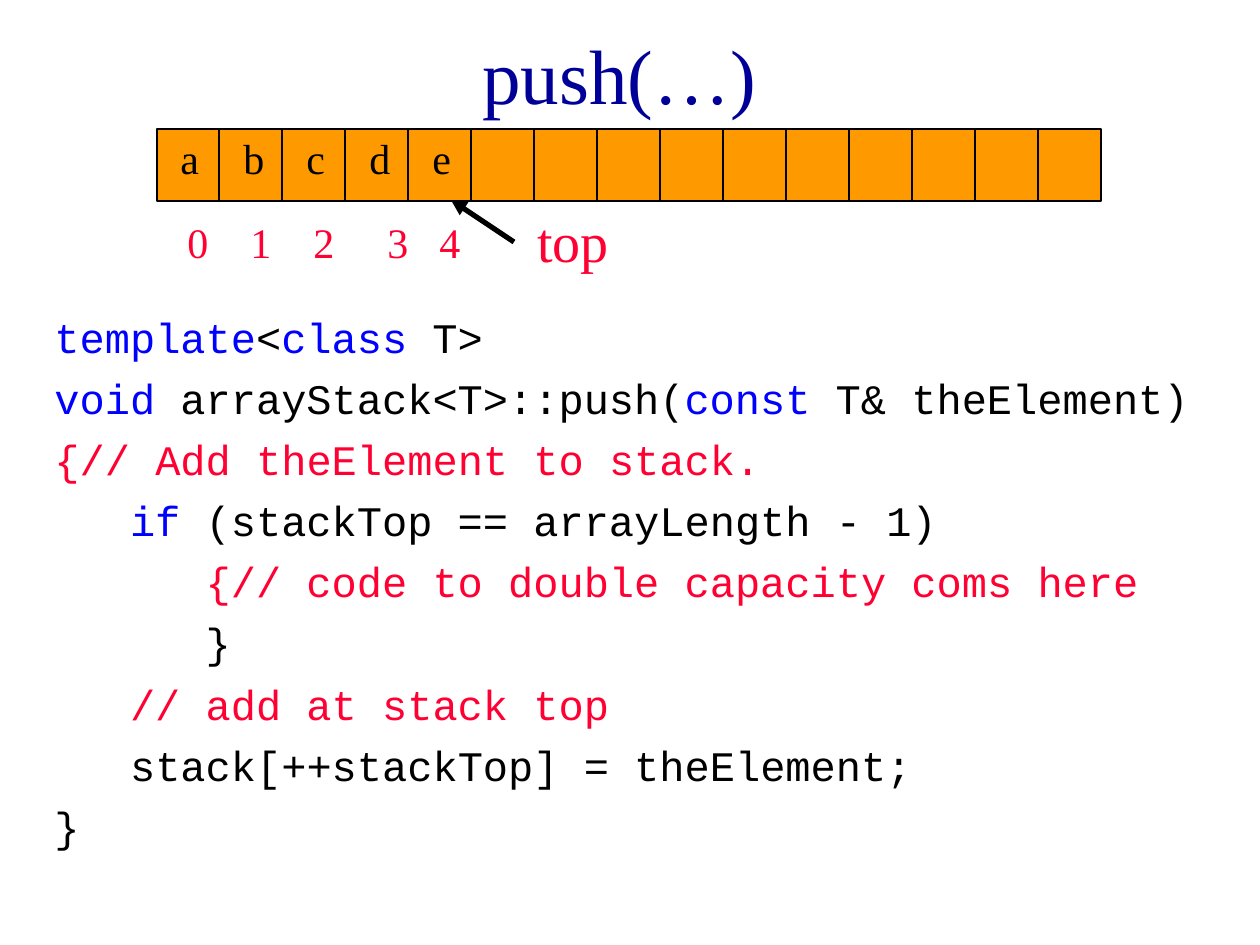
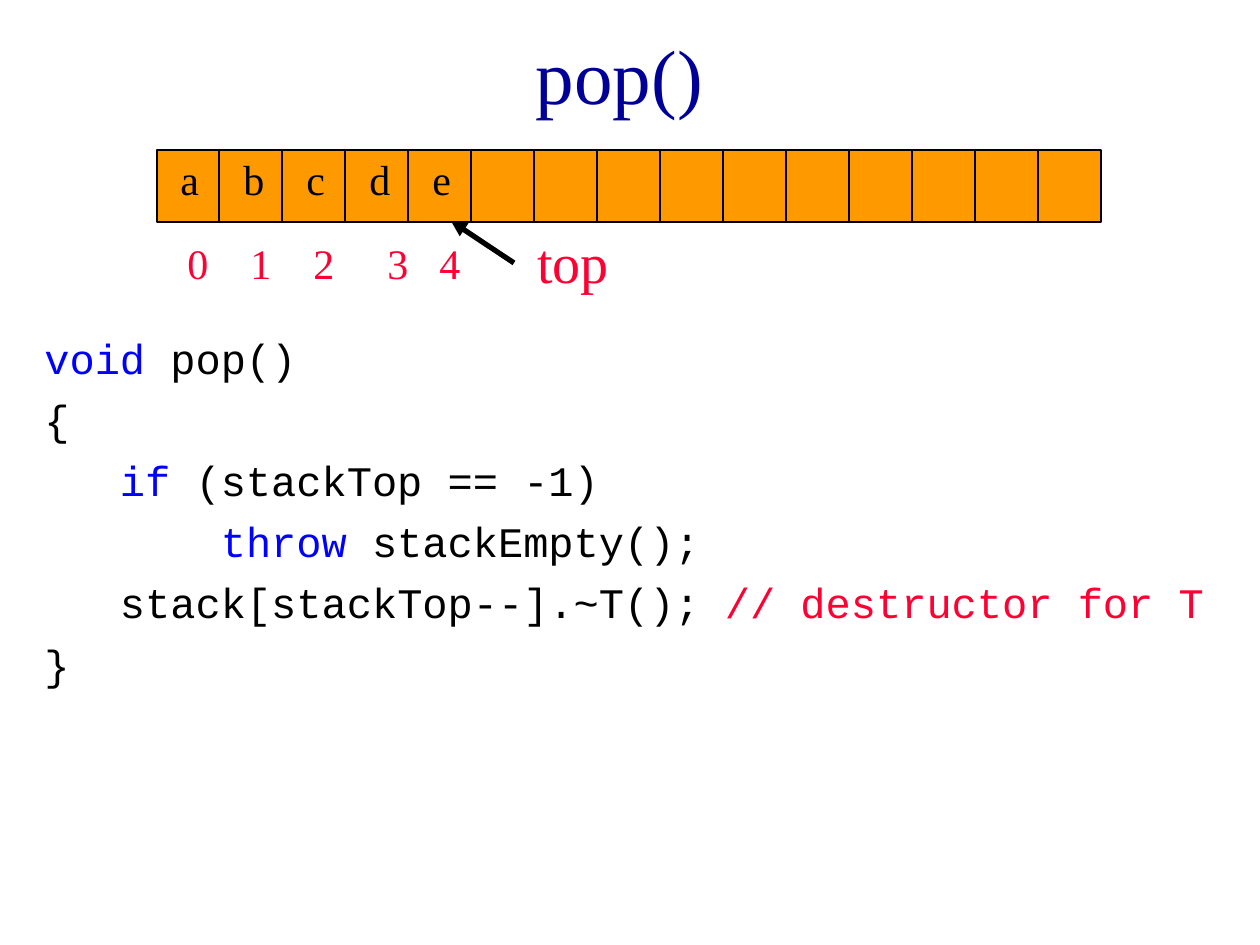
"""Build the two array stack slides, push and pop."""
from dataclasses import dataclass

import pptx
import pptx.dml.color
import pptx.enum.shapes
import pptx.enum.text
import pptx.oxml.xmlchemy
import pptx.util
from pptx.oxml.ns import qn

EMU_PER_PX = 914400 / 126


@dataclass(frozen=True)
class Theme:
    """Colours, fonts and type sizes of the deck."""
    title: str = "000099"
    ink: str = "000000"
    keyword: str = "0000FF"
    accent: str = "FF0033"
    cell: str = "FF9900"
    serif: str = "Times New Roman"
    mono: str = "Courier New"
    title_pt: int = 44
    label_pt: int = 32
    text_pt: int = 24
    code_line_pt: float = 28.9
    code_gap_pt: int = 6


THEME = Theme()
INK, KEY, NOTE = THEME.ink, THEME.keyword, THEME.accent

PUSH_CODE = [
    [(KEY, "template"), (INK, "<"), (KEY, "class"), (INK, " T>")],
    [(KEY, "void"), (INK, " arrayStack<T>::push("), (KEY, "const"),
     (INK, " T& theElement)")],
    [(NOTE, "{// Add theElement to stack.")],
    [(INK, "   "), (KEY, "if"), (INK, " (stackTop == arrayLength - 1)")],
    [(INK, "      "), (NOTE, "{// code to double capacity coms here")],
    [(INK, "      }")],
    [(INK, "   "), (NOTE, "// add at stack top")],
    [(INK, "   stack[++stackTop] = theElement;")],
    [(INK, "}")],
]
POP_CODE = [
    [(KEY, "void"), (INK, " pop()")],
    [(INK, "{")],
    [(INK, "   "), (KEY, "if"), (INK, " (stackTop == -1)")],
    [(INK, "       "), (KEY, "throw"), (INK, " stackEmpty();")],
    [(INK, "   stack[stackTop--].~T(); "), (NOTE, "// destructor for T")],
    [(INK, "}")],
]


def px(*lengths):
    """Turn px lengths into a list of EMU lengths."""
    return [pptx.util.Emu(round(n * EMU_PER_PX)) for n in lengths]


def rgb(color):
    """Turn a hex string into a colour."""
    return pptx.dml.color.RGBColor.from_string(color)


def add_run(p, text, color, size, font):
    """Append one styled run to a paragraph."""
    r = p.add_run()
    r.text = text
    r.font.name = font
    r.font.size = pptx.util.Pt(size)
    r.font.color.rgb = rgb(color)


def add_box(shapes, box, wrap=True):
    """Add an empty text box and return its text frame."""
    tf = shapes.add_textbox(*px(*box)).text_frame
    tf.word_wrap = wrap
    return tf


def add_label(shapes, box, text, color, size=THEME.text_pt, wrap=False):
    """Add a one-line serif label and return its text frame."""
    tf = add_box(shapes, box, wrap)
    add_run(tf.paragraphs[0], text, color, size, THEME.serif)
    return tf


def add_line(shapes, start, end, width, head=False):
    """Add a straight black line, with an arrowhead at its start if asked."""
    cx = shapes.add_connector(pptx.enum.shapes.MSO_CONNECTOR.STRAIGHT,
                              *px(*start, *end))
    cx.line.color.rgb = rgb(INK)
    cx.line.width = pptx.util.Pt(width)
    if head:
        ln = cx.line._get_or_add_ln()
        ln.append(ln.makeelement(qn("a:headEnd"), {"type": "triangle"}))
    sp_pr = cx._element.spPr
    sp_pr.append(sp_pr.makeelement(qn("a:effectLst"), {}))


def add_title(slide, box, text):
    """Add the centred slide title."""
    tf = add_label(slide.shapes, box, text, THEME.title, THEME.title_pt, True)
    tf.vertical_anchor = pptx.enum.text.MSO_ANCHOR.MIDDLE
    tf.paragraphs[0].alignment = pptx.enum.text.PP_ALIGN.CENTER


def add_stack_array(slide, box, cells=15, pitch=63):
    """Draw the array with its elements, indexes and top pointer."""
    x, y, w, h = box
    shapes = slide.shapes.add_group_shape().shapes
    sp = shapes.add_shape(pptx.enum.shapes.MSO_SHAPE.RECTANGLE, *px(*box))
    sp.shadow.inherit = False
    sp.fill.solid()
    sp.fill.fore_color.rgb = rgb(THEME.cell)
    sp.line.color.rgb = rgb(INK)
    sp.line.width = pptx.util.Pt(1)
    for i in range(1, cells):
        edge = x + i * pitch - 1
        add_line(shapes, (edge, y), (edge, y + h + 1), 1)
    for i, dx in enumerate((18, 81, 144, 218, 270)):
        add_label(shapes, (x + dx, y + 81, 47, 63), str(i), NOTE)
    for i, element in enumerate("abcde"):
        add_label(shapes, (x + 11 + i * pitch, y - 3, 46, 63), element, INK)
    add_line(shapes, (x + 294, y + 71), (x + 357, y + 113), 3, head=True)
    add_label(shapes, (x + 368, y + 71, 273, 81), "top", NOTE,
              THEME.label_pt, True)


def add_code(slide, box, lines):
    """Add a code listing, one paragraph per line."""
    tf = add_box(slide.shapes, box)
    for i, line in enumerate(lines):
        p = tf.add_paragraph() if i else tf.paragraphs[0]
        p.line_spacing = pptx.util.Pt(THEME.code_line_pt)
        if i:
            p.space_before = pptx.util.Pt(THEME.code_gap_pt)
        for color, text in line:
            add_run(p, text, color, THEME.text_pt, THEME.mono)


def add_method_slide(prs, title, array_top, code_box, code):
    """Add a slide that shows one stack method."""
    slide = prs.slides.add_slide(prs.slide_layouts[6])
    add_title(slide, (84, 21, 1071, 105), title)
    add_code(slide, code_box, code)
    add_stack_array(slide, (157, array_top, 944, 72))


def main():
    """Build and save the deck."""
    prs = pptx.Presentation()
    prs.slide_width, prs.slide_height = px(1260, 945)
    add_method_slide(prs, "push(…)", 129, (42, 305, 1218, 598), PUSH_CODE)
    add_method_slide(prs, "pop()", 150, (32, 326, 1207, 598), POP_CODE)
    prs.save("out.pptx")


if __name__ == "__main__":
    main()
